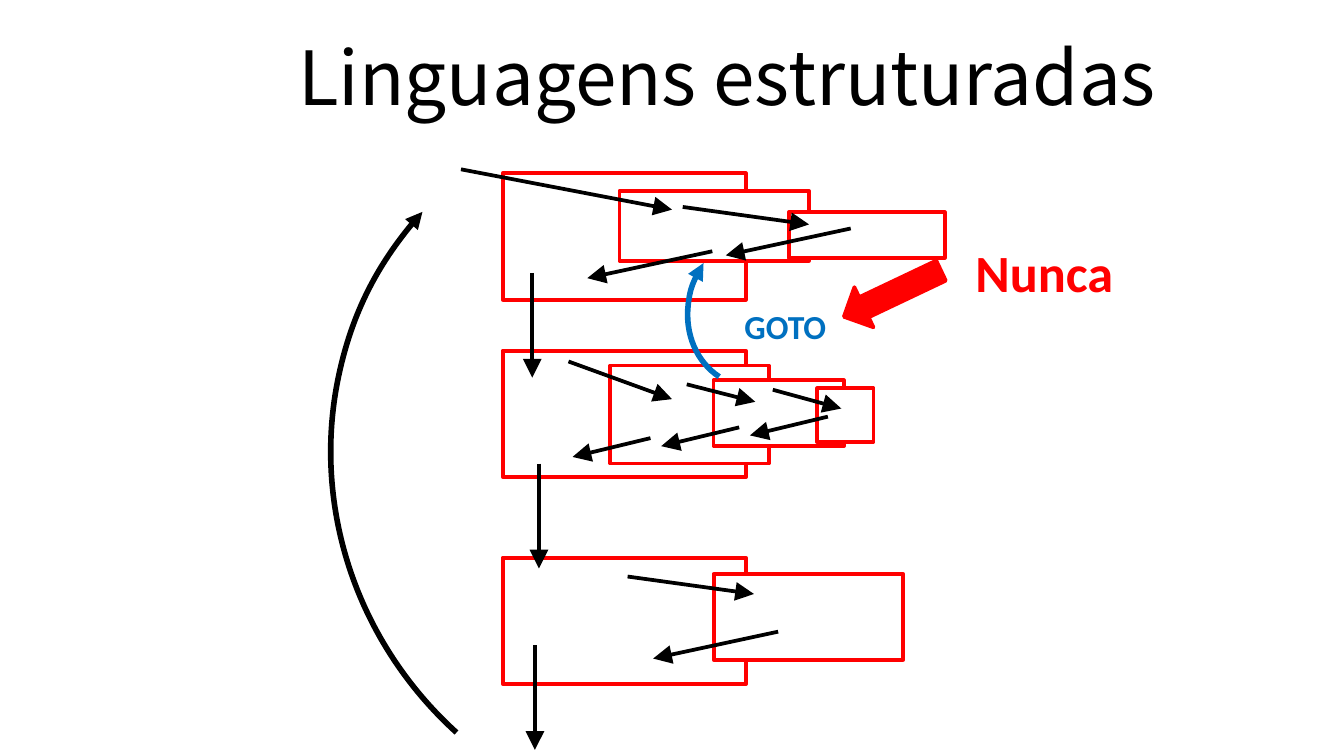
import pptx
import pptx.util
import pptx.dml.color
import pptx.enum.shapes
import pptx.enum.text
import pptx.oxml
import pptx.oxml.ns
from dataclasses import dataclass

Inches, Pt = pptx.util.Inches, pptx.util.Pt
RGB = pptx.dml.color.RGBColor.from_string
MSO = pptx.enum.shapes.MSO_SHAPE


@dataclass(frozen=True)
class Theme:
    black: str = "000000"
    white: str = "FFFFFF"
    red: str = "FF0000"
    blue: str = "0070C0"
    title_font: str = "Noto Sans CJK SC"
    label_font: str = "Calibri"
    title_size: int = 40
    goto_size: int = 18
    never_size: int = 28
    thin: int = 2
    thick: int = 3


theme = Theme()


def set_line(sp, color, width, head=None):
    """Style the line; head is the size of its arrowhead, "med" or "lg"."""
    sp.line.color.rgb = RGB(color)
    sp.line.width = Pt(width)
    if head:
        sp.line._get_or_add_ln().append(pptx.oxml.parse_xml(
            f'<a:tailEnd {pptx.oxml.ns.nsdecls("a")} type="triangle" w="{head}" len="{head}"/>'))


def write(sp, text, font, size, color, bold=False):
    tf = sp.text_frame
    tf.word_wrap = False
    tf.auto_size = pptx.enum.text.MSO_AUTO_SIZE.NONE
    p = tf.paragraphs[0]
    p.alignment = pptx.enum.text.PP_ALIGN.LEFT
    r = p.add_run()
    r.text = text
    r.font.name = font
    r.font.size = Pt(size)
    r.font.bold = bold
    r.font.color.rgb = RGB(color)


prs = pptx.Presentation()
prs.slide_width = Inches(10)
prs.slide_height = prs.slide_width * 9 // 16
s = prs.slides.add_slide(prs.slide_layouts[5])

title = s.shapes.title
title.left, title.top, title.width, title.height = map(Inches, (2.12, 0.18, 6.64, 0.77))
title.text_frame.vertical_anchor = pptx.enum.text.MSO_ANCHOR.MIDDLE
write(title, "Linguagens estruturadas", theme.title_font, theme.title_size, theme.black)

# Three outer blocks of one size, then the blocks nested in them
outer_blocks = [(3.74, y, 1.81, 0.94) for y in (1.29, 2.61, 4.15)]
inner_blocks = [
    (4.61, 1.42, 1.41, 0.52), (5.87, 1.58, 1.16, 0.34),
    (4.54, 2.72, 1.18, 0.73), (5.31, 2.83, 0.97, 0.49), (6.08, 2.89, 0.42, 0.4),
    (5.31, 4.27, 1.41, 0.64),
]
for box in outer_blocks + inner_blocks:
    sp = s.shapes.add_shape(MSO.RECTANGLE, *map(Inches, box))
    sp.shadow.inherit = False
    sp.fill.solid()
    sp.fill.fore_color.rgb = RGB(theme.white)
    set_line(sp, theme.red, theme.thin)

# Control flow: calls go right, returns go left, steps go down
calls = [
    (3.43, 1.26, 5, 1.56), (5.08, 1.54, 6.02, 1.67),
    (4.23, 2.69, 5, 2.97), (5.11, 2.86, 5.62, 2.99), (5.75, 2.9, 6.26, 3.04),
    (4.67, 4.29, 5.61, 4.42),
]
long_returns = [(x, y, x - 0.93, y + 0.2) for x, y in ((6.33, 1.7), (5.3, 1.87), (5.79, 4.7))]
short_returns = [(x, y, x - 0.58, y + 0.14) for x, y in ((6.16, 3.1), (5.5, 3.18), (4.84, 3.26))]
steps = [(x, y, x, y + 0.78) for x, y in ((3.96, 2.03), (4.01, 3.45), (3.98, 4.8))]
for ends in calls + long_returns + short_returns + steps:
    cx = s.shapes.add_connector(pptx.enum.shapes.MSO_CONNECTOR.STRAIGHT, *map(Inches, ends))
    set_line(cx, theme.black, theme.thin, head="lg")
    cx._element.spPr.append(
        pptx.oxml.parse_xml(f'<a:effectLst {pptx.oxml.ns.nsdecls("a")}/>'))

# Backward jumps
for box, angle, color in [
    ((2.42, 0.75, 5.58, 5.4), 222.2, theme.black),
    ((5.14, 1.63, 1.13, 1.28), 213.6, theme.blue),
]:
    arc = s.shapes.add_shape(MSO.ARC, *map(Inches, box))
    arc.rotation = angle
    arc.fill.background()
    set_line(arc, color, theme.thick, head="med")
    arc.shadow.inherit = False

for text, box, size, color in [
    ("GOTO", (5.44, 2.23, 0.82, 0.4), theme.goto_size, theme.blue),
    ("Nunca", (7.16, 1.74, 1.24, 0.57), theme.never_size, theme.red),
]:
    tb = s.shapes.add_textbox(*map(Inches, box))
    write(tb, text, theme.label_font, size, color, bold=True)

pointer = s.shapes.add_shape(MSO.RIGHT_ARROW, *map(Inches, (6.24, 2.02, 0.8, 0.33)))
pointer.rotation = 154.6
pointer.shadow.inherit = False
pointer.fill.solid()
pointer.fill.fore_color.rgb = RGB(theme.red)
set_line(pointer, theme.red, theme.thin)

prs.save("out.pptx")
